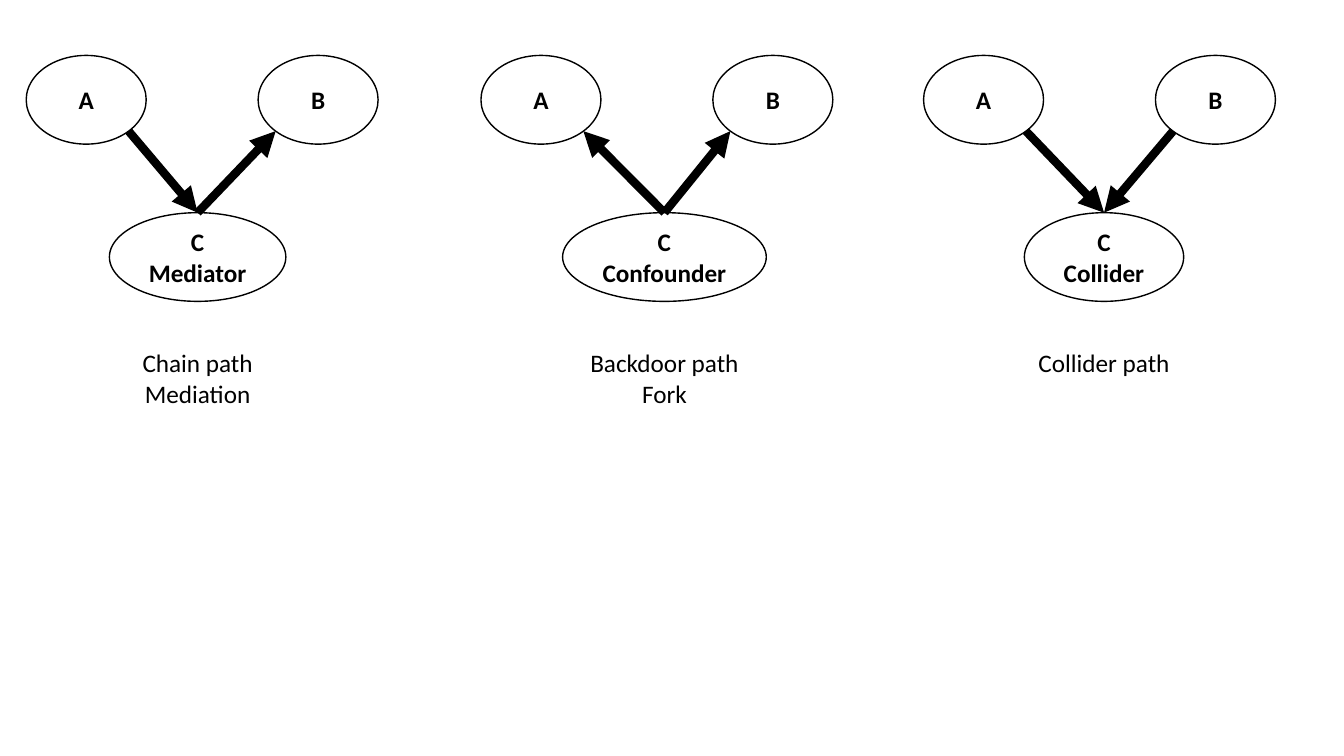
from dataclasses import dataclass
from math import sqrt

from lxml import etree
from pptx import Presentation
from pptx.dml.color import RGBColor
from pptx.enum.shapes import MSO_CONNECTOR, MSO_SHAPE
from pptx.enum.text import MSO_ANCHOR, PP_ALIGN
from pptx.oxml.ns import qn
from pptx.util import Inches, Pt

ELLIPSE = MSO_SHAPE.OVAL
STRAIGHT = MSO_CONNECTOR.STRAIGHT
MIDDLE = MSO_ANCHOR.MIDDLE
CENTER = PP_ALIGN.CENTER


@dataclass(frozen=True)
class Theme:
    """Colours, font, type size and line widths of the slide."""
    ink: RGBColor = RGBColor(0, 0, 0)
    paper: RGBColor = RGBColor(255, 255, 255)
    font: str = "Calibri"
    text_size: int = 18
    outline_width: int = 1
    arrow_width: int = 6


class DiagramSlide:
    """Draws nodes, arrows and captions on a grid of tenth-inch cells."""

    def __init__(self, slide, theme):
        self.slide = slide
        self.theme = theme

    def cells(self, *counts):
        """Turn grid counts into lengths."""
        return [Inches(count / 10) for count in counts]

    def set_text(self, shape, lines, bold=False):
        """Fill a shape with centred paragraphs."""
        frame = shape.text_frame
        frame.word_wrap = True
        frame.text = "\n".join(lines)
        for paragraph in frame.paragraphs:
            paragraph.alignment = CENTER
            paragraph.font.name = self.theme.font
            paragraph.font.size = Pt(self.theme.text_size)
            paragraph.font.bold = bold
            paragraph.font.color.rgb = self.theme.ink

    def node(self, center, top, width, height, lines):
        """Draw an outlined ellipse with a bold label."""
        box = self.cells(center - width / 2, top, width, height)
        shape = self.slide.shapes.add_shape(ELLIPSE, *box)
        shape.shadow.inherit = False
        shape.fill.solid()
        shape.fill.fore_color.rgb = self.theme.paper
        shape.line.color.rgb = self.theme.ink
        shape.line.width = Pt(self.theme.outline_width)
        frame = shape.text_frame
        frame.margin_left = frame.margin_right = 0
        frame.margin_top = frame.margin_bottom = 0
        frame.vertical_anchor = MIDDLE
        self.set_text(shape, lines, bold=True)

    def arrow(self, start, end):
        """Draw a thick line with a triangle at its end."""
        connector = self.slide.shapes.add_connector(STRAIGHT, *self.cells(*start, *end))
        connector.line.color.rgb = self.theme.ink
        connector.line.width = Pt(self.theme.arrow_width)
        properties = connector._element.spPr
        outline = properties.find(qn("a:ln"))
        etree.SubElement(outline, qn("a:tailEnd"), type="triangle")
        etree.SubElement(properties, qn("a:effectLst"))

    def caption(self, center, top, width, height, lines):
        """Place plain centred lines."""
        box = self.cells(center - width / 2, top, width, height)
        self.set_text(self.slide.shapes.add_textbox(*box), lines)


NODE_WIDTH, NODE_HEIGHT = 11.9, 8.8
NODE_TOP, CENTRAL_TOP, CAPTION_TOP = 5.5, 21.1, 34
NODE_SPACING = 23
LINE_HEIGHT, CAPTION_PADDING = 3, 1
DIAGONAL = sqrt(0.5)

CAUSAL_PATHS = [
    dict(a=8.55, c=19.6, width=17.5, role="Mediator", into_c=(True, False),
         caption=["Chain path", "Mediation"], caption_width=16.8),
    dict(a=53.65, c=65.9, width=20.2, role="Confounder", into_c=(False, False),
         caption=["Backdoor path", "Fork"], caption_width=22.9),
    dict(a=97.55, c=109.5, width=15.8, role="Collider", into_c=(True, True),
         caption=["Collider path"], caption_width=16.8),
]


def draw_causal_path(diagram, causal):
    """Draw one causal path: three nodes, two arrows and a caption."""
    a, b, c = causal["a"], causal["a"] + NODE_SPACING, causal["c"]
    for center, label in ((a, "A"), (b, "B")):
        diagram.node(center, NODE_TOP, NODE_WIDTH, NODE_HEIGHT, [label])
    diagram.node(c, CENTRAL_TOP, causal["width"], NODE_HEIGHT, ["C", causal["role"]])

    reach = NODE_WIDTH / 2 * DIAGONAL
    edge = NODE_TOP + NODE_HEIGHT / 2 * (1 + DIAGONAL)
    for outer, into_c in zip((a + reach, b - reach), causal["into_c"]):
        ends = [(outer, edge), (c, CENTRAL_TOP)]
        diagram.arrow(*(ends if into_c else reversed(ends)))

    height = len(causal["caption"]) * LINE_HEIGHT + CAPTION_PADDING
    diagram.caption(c, CAPTION_TOP, causal["caption_width"], height, causal["caption"])


presentation = Presentation()
presentation.slide_width, presentation.slide_height = Inches(13.33), Inches(7.5)
blank_layout = presentation.slide_layouts[6]
diagram = DiagramSlide(presentation.slides.add_slide(blank_layout), Theme())
for causal in CAUSAL_PATHS:
    draw_causal_path(diagram, causal)
presentation.save("out.pptx")
